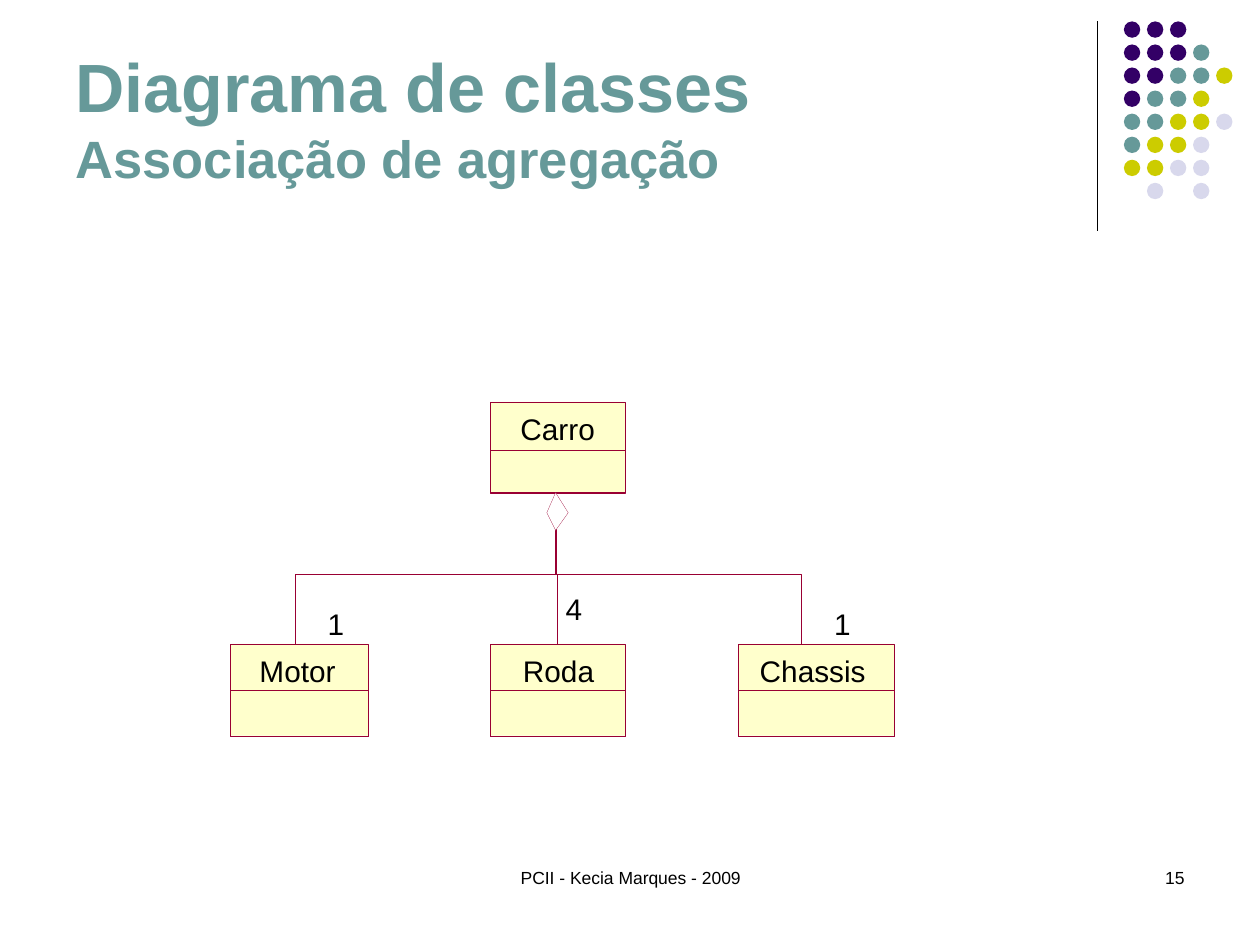
from lxml import etree
from pptx import Presentation
from pptx import util as u
from pptx.dml.color import RGBColor
from pptx.enum import shapes, text
from pptx.oxml.ns import qn

In = u.Inches
PURPLE, TEAL, LIME, LILAC = "330066", "669999", "CCCC00", "D8D8EC"
BLACK, WHITE, CREAM, WINE = "000000", "FFFFFF", "FFFFCC", "990033"
DOT_COLORS = {"p": PURPLE, "t": TEAL, "l": LIME, "v": LILAC}
DOT_ROWS = ["ppp", "pppt", "ppttl", "pttl", "ttllv", "tllv", "llvv", " v v"]
ROOT_BOTTOM, BRANCH_Y, LEAF_TOP, AXIS_X = 3.91, 4.56, 5.11, 4.41
HAIRLINE = 0.1


def color(hex_value):
    return RGBColor.from_string(hex_value)


def style(sp, fill=None, line=None):
    sp.shadow.inherit = False
    if fill:
        sp.fill.solid()
        sp.fill.fore_color.rgb = color(fill)
    else:
        sp.fill.background()
    if line:
        sp.line.color.rgb = color(line)
        sp.line.width = u.Pt(HAIRLINE)
    else:
        sp.line.fill.background()


def add_run(p, words, size, hex_value=BLACK, bold=False):
    r = p.add_run()
    r.text = words
    r.font.name = "Arial"
    r.font.size = u.Pt(size)
    r.font.bold = bold
    r.font.color.rgb = color(hex_value)


def add_title(s):
    sp = s.shapes.title
    sp.left, sp.top, sp.width, sp.height = In(0.5), In(0.13), In(8.25), In(1.42)
    tf = sp.text_frame
    tf.auto_size = text.MSO_AUTO_SIZE.NONE
    tf.vertical_anchor = text.MSO_ANCHOR.BOTTOM
    p = tf.paragraphs[0]
    p.alignment = text.PP_ALIGN.LEFT
    add_run(p, "Diagrama de classes", 39, TEAL, True)
    p.add_line_break()
    add_run(p, "Associação de agregação", 30, TEAL, True)


def add_footer(s, words, left, width, align):
    tf = s.shapes.add_textbox(In(left), In(6.83), In(width), In(0.5)).text_frame
    tf.word_wrap = True
    p = tf.paragraphs[0]
    p.alignment = align
    add_run(p, words, 10)


def add_label(s, words, left, top, width):
    """Add one line of diagram text in a box without margins."""
    tf = s.shapes.add_textbox(In(left), In(top), In(width), In(0.28)).text_frame
    tf.margin_left = tf.margin_top = tf.margin_right = tf.margin_bottom = 0
    tf.word_wrap = False
    tf.auto_size = text.MSO_AUTO_SIZE.NONE
    p = tf.paragraphs[0]
    p.alignment = text.PP_ALIGN.LEFT
    add_run(p, words, 17)


def add_rect(s, left, top, width, height, fill=None):
    sp = s.shapes.add_shape(shapes.MSO_SHAPE.RECTANGLE,
                            In(left), In(top), In(width), In(height))
    style(sp, fill, WINE)
    return sp


def add_class(s, name, left, top, width, height, split, text_left, text_width):
    """Add a UML class box; split is the height of its name compartment."""
    box = add_rect(s, left, top, width, height, CREAM)
    add_label(s, name, text_left, top + 0.07, text_width)
    add_rect(s, left, top + split, width, height - split)
    return box


def add_path(s, points, fill=None, close=False):
    start, *rest = [(In(x), In(y)) for x, y in points]
    fb = s.shapes.build_freeform(*start)
    fb.add_line_segments(rest, close=close)
    style(fb.convert_to_shape(), fill, WINE)


def add_line(s, x, top, bottom, hex_value, width):
    cx = s.shapes.add_connector(shapes.MSO_CONNECTOR.STRAIGHT,
                                In(x), In(top), In(x), In(bottom))
    cx.line.color.rgb = color(hex_value)
    cx.line.width = u.Pt(width)
    etree.SubElement(cx._element.spPr, qn("a:effectLst"))
    return cx


def add_dots(s):
    pitch, size = 0.183, 0.13
    for row, codes in enumerate(DOT_ROWS):
        for col, code in enumerate(codes):
            if code in DOT_COLORS:
                sp = s.shapes.add_shape(
                    shapes.MSO_SHAPE.OVAL, In(8.92 + col * pitch),
                    In(0.17 + row * pitch), In(size), In(size))
                style(sp, DOT_COLORS[code])


def add_diagram(s):
    add_class(s, "Motor", 1.83, LEAF_TOP, 1.09, 0.73, 0.37, 2.06, 0.66)
    add_class(s, "Chassis", 5.86, LEAF_TOP, 1.24, 0.73, 0.37, 6.03, 0.9)
    add_class(s, "Carro", 3.89, 3.19, 1.07, 0.72, 0.38, 4.13, 0.65)
    for leaf_x, joint_x in [(2.34, 3.43), (6.36, 5.34)]:
        for x, y in [(leaf_x, LEAF_TOP), (AXIS_X, ROOT_BOTTOM)]:
            add_path(s, [(joint_x, BRANCH_Y), (x, BRANCH_Y), (x, y)])
    add_path(s, [(AXIS_X, ROOT_BOTTOM), (4.51, 4.07), (AXIS_X, 4.21),
                 (4.34, 4.07)], WHITE, close=True)
    wheel_left, wheel_width = 3.89, 1.07
    wheel = add_class(s, "Roda", wheel_left, LEAF_TOP, wheel_width, 0.73, 0.37,
                      4.15, 0.62)
    cx = add_line(s, wheel_left + wheel_width / 2, BRANCH_Y, LEAF_TOP, WINE, HAIRLINE)
    cx.end_connect(wheel, 0)
    for count, left, top in [("1", 2.6, 4.81), ("4", 4.49, 4.69), ("1", 6.62, 4.81)]:
        add_label(s, count, left, top, 0.16)


def main():
    prs = Presentation()
    prs.slide_width, prs.slide_height = In(10), In(7.5)
    s = prs.slides.add_slide(prs.slide_layouts[5])
    add_line(s, 8.71, 0.17, 1.83, BLACK, 0.75)
    add_dots(s)
    add_footer(s, "PCII - Kecia Marques - 2009", 3.42, 3.17, text.PP_ALIGN.CENTER)
    add_footer(s, "15", 7.17, 2.33, text.PP_ALIGN.RIGHT)
    add_title(s)
    add_diagram(s)
    prs.save("out.pptx")


if __name__ == "__main__":
    main()
